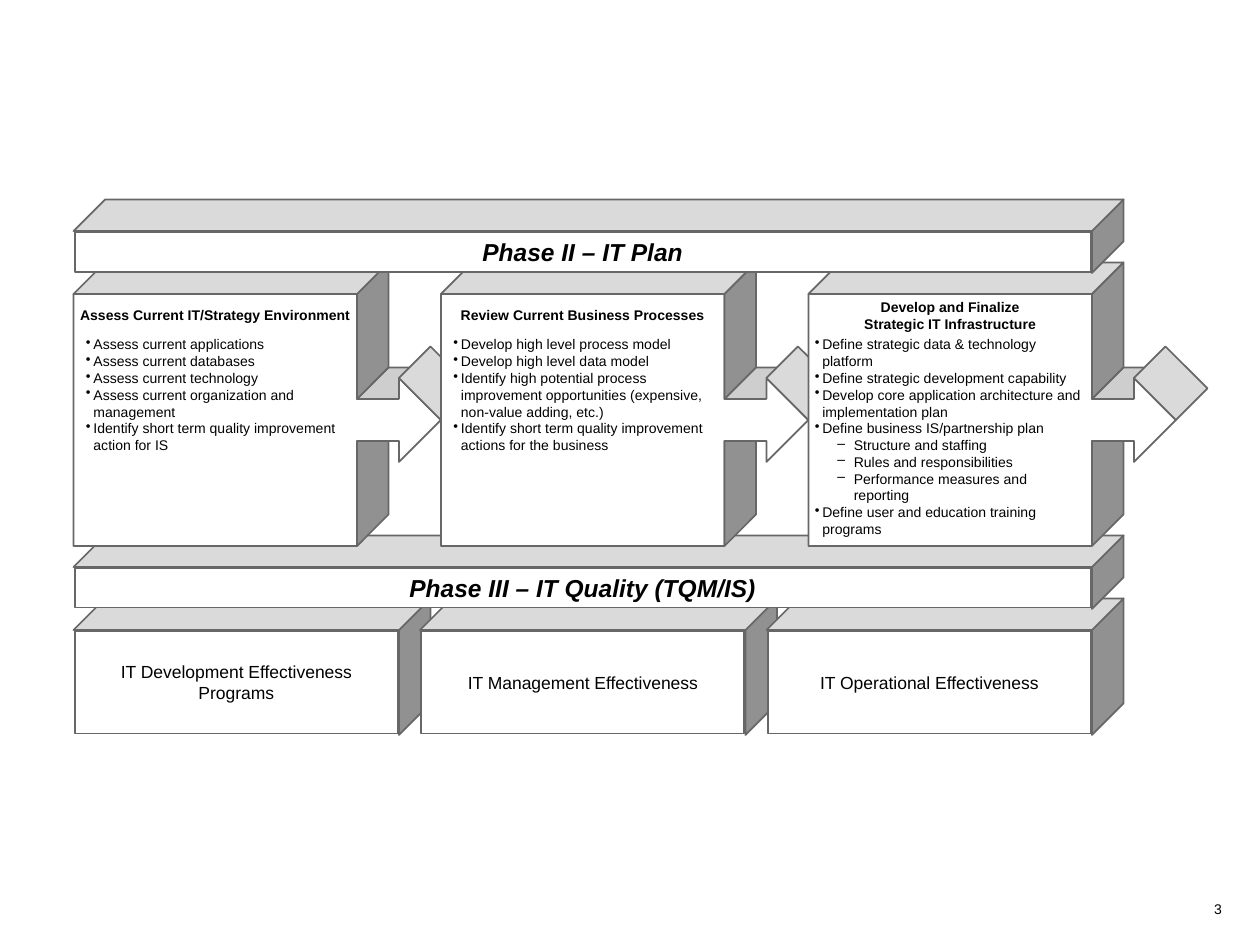
import pptx
import pptx.util
import pptx.dml.color
import pptx.enum.shapes
import pptx.enum.text
import pptx.oxml.ns
import lxml.etree

RGBColor = pptx.dml.color.RGBColor
PP_ALIGN = pptx.enum.text.PP_ALIGN
MSO_ANCHOR = pptx.enum.text.MSO_ANCHOR

WHITE = RGBColor(0xFF, 0xFF, 0xFF)
BLACK = RGBColor(0, 0, 0)
TOP = RGBColor(0xDA, 0xDA, 0xDA)
SIDE = RGBColor(0x91, 0x91, 0x91)
SHAFT = RGBColor(0xCE, 0xCE, 0xCE)
EDGE = RGBColor(0x67, 0x67, 0x67)

PHASES = [("Phase II – IT Plan", 22), ("Phase III – IT Quality (TQM/IS)", 54)]
PROGRAMS = [
    "IT Development Effectiveness Programs",
    "IT Management Effectiveness",
    "IT Operational Effectiveness",
]
STEPS = [
    (["Assess Current IT/Strategy Environment"], 0.1, [
        (0, "Assess current applications"),
        (0, "Assess current databases"),
        (0, "Assess current technology"),
        (0, "Assess current organization and management"),
        (0, "Identify short term quality improvement action for IS"),
    ]),
    (["Review Current Business Processes"], 0.1, [
        (0, "Develop high level process model"),
        (0, "Develop high level data model"),
        (0, "Identify high potential process improvement opportunities "
            "(expensive, non-value adding, etc.)"),
        (0, "Identify short term quality improvement actions for the business"),
    ]),
    (["Develop and Finalize", "Strategic IT Infrastructure"], 0.05, [
        (0, "Define strategic data & technology platform"),
        (0, "Define strategic development capability"),
        (0, "Develop core application architecture and implementation plan"),
        (0, "Define business IS/partnership plan"),
        (1, "Structure and staffing"),
        (1, "Rules and responsibilities"),
        (1, "Performance measures and reporting"),
        (0, "Define user and education training programs"),
    ]),
]
BULLETS = [("•", 0.06, 0.06), ("–", 0.31, 0.13)]

STEP_FACES = [
    (SHAFT, [(27, 38), (30, 35), (36, 35), (32, 38)]),
    (WHITE, [(0, 28), (27, 28), (27, 38), (31, 38), (31, 36), (35, 40),
             (31, 44), (31, 42), (27, 42), (27, 52), (0, 52)]),
    (SIDE, [(27, 28), (30, 25), (30, 35), (27, 38)]),
    (SIDE, [(27, 42), (30, 42), (30, 49), (27, 52)]),
    (TOP, [(0, 28), (3, 25), (30, 25), (27, 28)]),
    (TOP, [(31, 36), (34, 33), (38, 37), (35, 40)]),
]

COLUMNS, ROWS = 120, 90
LEFT, DEPTH = 7, 3
STEP_W, STEP_PITCH = 27, 35
PROGRAM_W, PROGRAM_PITCH = 31, 33

prs = pptx.Presentation()
prs.slide_width = pptx.util.Inches(10)
prs.slide_height = pptx.util.Inches(7.5)
UNIT = prs.slide_width // COLUMNS
INSET = pptx.util.Inches(0.01)
s = prs.slides.add_slide(prs.slide_layouts[6])


def paint(sp, fill):
    sp.shadow.inherit = False
    sp.fill.solid()
    sp.fill.fore_color.rgb = fill
    sp.line.color.rgb = EDGE
    sp.line.width = pptx.util.Pt(1)


def face(fill, points, dx=0):
    start, *rest = [(x + dx, y) for x, y in points]
    fb = s.shapes.build_freeform(*start, scale=UNIT)
    fb.add_line_segments(rest, close=True)
    paint(fb.convert_to_shape(), fill)


def write(sp, lines, size, margins, anchor=MSO_ANCHOR.MIDDLE,
          align=PP_ALIGN.CENTER, bold=False, italic=False):
    tf = sp.text_frame
    tf.word_wrap = True
    tf.vertical_anchor = anchor
    tf.margin_left = tf.margin_right = pptx.util.Inches(margins[0])
    tf.margin_top = tf.margin_bottom = pptx.util.Inches(margins[1])
    tf.text = "\n".join(lines)
    for p in tf.paragraphs:
        p.alignment = align
        p.font.name = "Arial"
        p.font.size = pptx.util.Pt(size)
        p.font.color.rgb = BLACK
        p.font.bold = bold
        p.font.italic = italic
    return tf


def block(x, y, w, h, text, size, margins, **style):
    face(SIDE, [(x + w, y), (x + w + DEPTH, y - DEPTH),
                (x + w + DEPTH, y + h - DEPTH), (x + w, y + h)])
    face(TOP, [(x, y), (x + DEPTH, y - DEPTH),
               (x + w + DEPTH, y - DEPTH), (x + w, y)])
    sp = s.shapes.add_shape(
        pptx.enum.shapes.MSO_SHAPE.RECTANGLE, x * UNIT + INSET,
        y * UNIT + INSET, w * UNIT - 2 * INSET, h * UNIT - 2 * INSET)
    paint(sp, WHITE)
    write(sp, [text], size, margins, **style)


def phase(text, y):
    block(LEFT, y, 97, 4, text, 14, (0.1, 0.05), bold=True, italic=True)


def textbox(x, y, w, h):
    return s.shapes.add_textbox(*(int(v * UNIT) for v in (x, y, w, h)))


def add_bullet(p, level):
    char, margin, hang = BULLETS[level]
    p.level = level
    pPr = p._p.get_or_add_pPr()
    pPr.set("marL", str(pptx.util.Inches(margin)))
    pPr.set("indent", str(-pptx.util.Inches(hang)))
    bu = lxml.etree.Element(pptx.oxml.ns.qn("a:buChar"), char=char)
    pPr.insert_element_before(bu, "a:tabLst", "a:defRPr", "a:extLst")


for i, program in enumerate(PROGRAMS):
    block(LEFT + i * PROGRAM_PITCH, 60, PROGRAM_W, 10, program, 10, (0.1, 0.1))
phase(*PHASES[1])
for i in range(len(STEPS)):
    for fill, points in STEP_FACES:
        face(fill, points, LEFT + i * STEP_PITCH)
phase(*PHASES[0])

for i, (title, margin, items) in enumerate(STEPS):
    x = LEFT + i * STEP_PITCH
    write(textbox(x, 28, STEP_W, 4), title, 8, (0.05, 0.1), bold=True)
    tf = write(textbox(x, 32, STEP_W, 20), [text for _, text in items], 8,
               (margin, 0), MSO_ANCHOR.TOP, PP_ALIGN.LEFT)
    for p, (level, _) in zip(tf.paragraphs, items):
        add_bullet(p, level)

write(textbox(COLUMNS - 6, ROWS - 4.8, 4, 2.8), ["3"], 8, (0.05, 0.05),
      MSO_ANCHOR.TOP)

prs.save("out.pptx")
